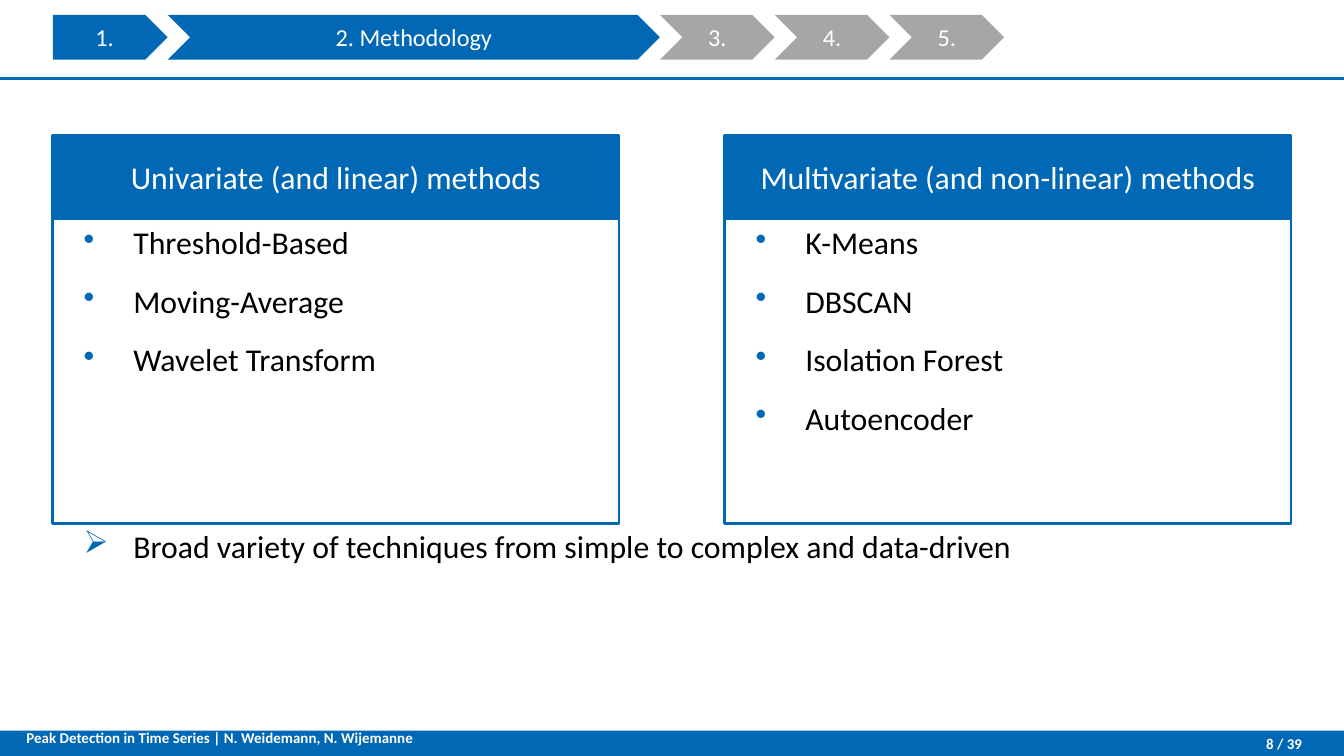
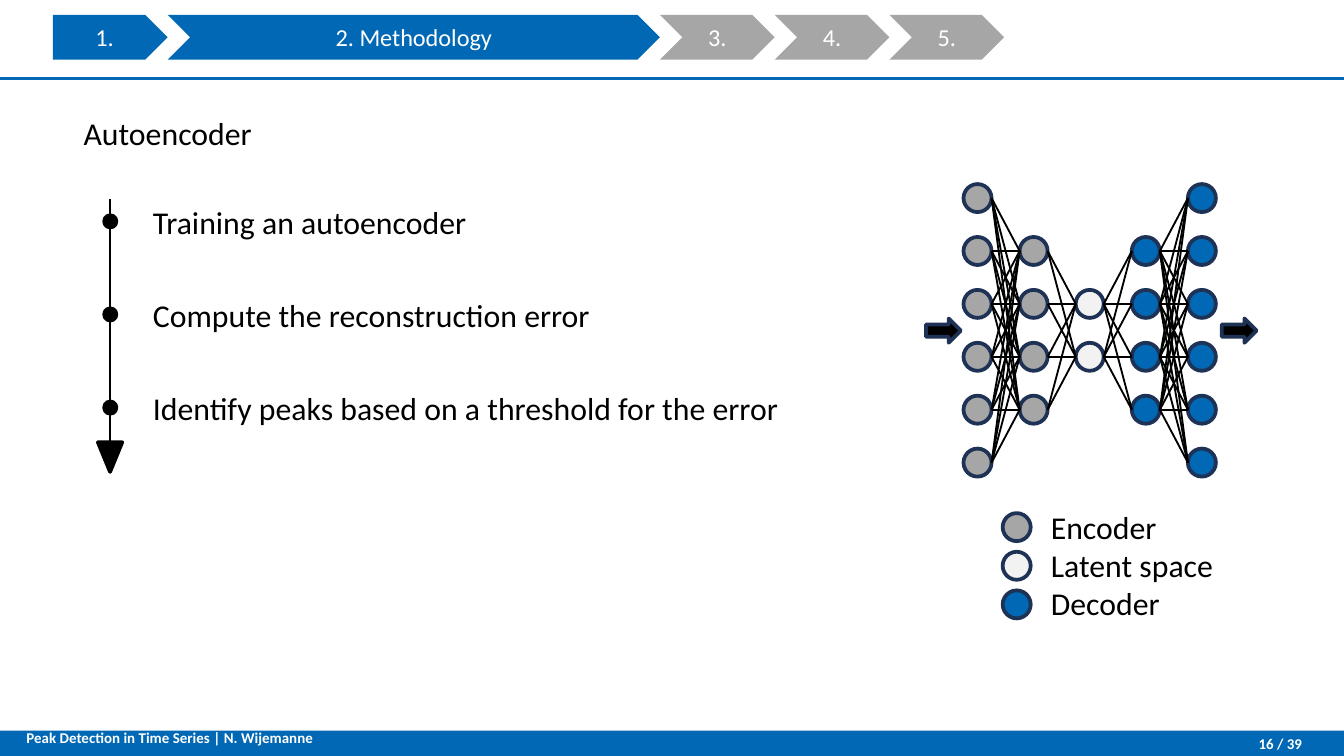
from itertools import product

from lxml import etree
from pptx import Presentation
from pptx import util as u
from pptx.dml.color import RGBColor
from pptx.enum import shapes as kinds, text as t
from pptx.oxml.ns import qn

BLUE = RGBColor(0x00, 0x68, 0xB4)
NAVY = RGBColor(0x1E, 0x32, 0x56)
GREY = RGBColor(0xA6, 0xA6, 0xA6)
PALE = RGBColor(0xF2, 0xF2, 0xF2)
WHITE = RGBColor(0xFF, 0xFF, 0xFF)
BLACK = RGBColor(0x00, 0x00, 0x00)
FONT = "Calibri"
SHAPE = kinds.MSO_SHAPE
CENTER, RIGHT = t.PP_ALIGN.CENTER, t.PP_ALIGN.RIGHT
TOP, MIDDLE = t.MSO_ANCHOR.TOP, t.MSO_ANCHOR.MIDDLE


def add_box(shapes, kind, place, fill=None, line=None, line_width=1.5, lines=(), size=17,
            color=BLACK, bold=False, align=None, anchor=TOP, bullet=None):
    """Add a preset shape, or a text box if kind is None, at place (left, top, width, height in cm).

    A bullet of "" indents the paragraphs without a mark.
    """
    place = [u.Cm(length) for length in place]
    if kind is None:
        shape = shapes.add_textbox(*place)
    else:
        shape = shapes.add_shape(kind, *place)
        shape.shadow.inherit = False
        if fill is None:
            shape.fill.background()
        else:
            shape.fill.solid()
            shape.fill.fore_color.rgb = fill
        if line is None:
            shape.line.fill.background()
        else:
            shape.line.color.rgb = line
            shape.line.width = u.Pt(line_width)
    frame = shape.text_frame
    frame.word_wrap = True
    frame.vertical_anchor = anchor
    for number, wording in enumerate(lines):
        paragraph = frame.add_paragraph() if number else frame.paragraphs[0]
        paragraph.text = wording
        paragraph.alignment = align or t.PP_ALIGN.LEFT
        if bullet is not None:
            properties = paragraph._p.get_or_add_pPr()
            properties.set("marL", str(u.Cm(1.27)))
            properties.set("indent", str(u.Cm(-0.94)))
            if bullet:
                bullet_color = etree.SubElement(properties, qn("a:buClr"))
                etree.SubElement(bullet_color, qn("a:srgbClr"), val=str(BLUE))
                etree.SubElement(properties, qn("a:buChar"), char=bullet)
            paragraph.line_spacing = 0.95
            if number:
                paragraph.space_before = u.Pt(12)
        font = paragraph.font
        font.name, font.size, font.bold = FONT, u.Pt(size), bold
        font.color.rgb = color
    return shape


def add_line(shapes, start, end, color=BLACK, width=1.5):
    ends = [u.Cm(length) for length in (*start, *end)]
    line = shapes.add_connector(kinds.MSO_CONNECTOR.STRAIGHT, *ends)
    line.line.color.rgb = color
    line.line.width = u.Pt(width)
    etree.SubElement(line._element.spPr, qn("a:effectLst"))


presentation = Presentation()
presentation.slide_width, presentation.slide_height = u.Cm(25.4), u.Cm(14.29)

# Frame of every slide: rule, section chevrons, footer
sections = [("1.", 2.17, BLUE), ("2. Methodology", 9.3, BLUE),
            ("3.", 2.17, GREY), ("4.", 2.17, GREY), ("5.", 2.17, GREY)]
footers = [("Peak Detection in Time Series | N. Weidemann, N. Wijemanne", "8 / 39"),
           ("Peak Detection in Time Series | N. Wijemanne", "16 / 39")]
for credit, page in footers:
    slide = presentation.slides.add_slide(presentation.slide_layouts[6])
    add_box(slide.shapes, SHAPE.RECTANGLE, (0, 13.81, 25.4, 0.48), BLUE)
    add_line(slide.shapes, (25.4, 1.49), (0, 1.49), BLUE)
    progress = slide.shapes.add_group_shape()
    left = 1
    for number, (label, width, color) in enumerate(sections):
        add_box(progress.shapes, SHAPE.CHEVRON if number else SHAPE.PENTAGON,
                (left, 0.28, width, 0.85), color, lines=[label], size=13, color=WHITE,
                align=CENTER, anchor=MIDDLE)
        left += width
    footer = add_box(slide.shapes, None, (0.25, 13.61, 11.02, 0.86), lines=[credit],
                     size=8, color=WHITE, bold=True)
    footer.text_frame.margin_top = footer.text_frame.margin_bottom = u.Cm(0.25)
    page_number = add_box(slide.shapes, None, (22.22, 13.82, 2.39, 0.48), lines=[page],
                          size=8, color=WHITE, bold=True, align=RIGHT, anchor=MIDDLE)
    page_number.text_frame.margin_right = 0

# Slide 1: two families of methods
shapes = presentation.slides[0].shapes
families = [
    (1, "Univariate (and linear) methods",
     ["Threshold-Based", "Moving-Average", "Wavelet Transform"]),
    (13.7, "Multivariate (and non-linear) methods",
     ["K-Means", "DBSCAN", "Isolation Forest", "Autoencoder"]),
]
for left, heading, methods in families:
    add_box(shapes, SHAPE.RECTANGLE, (left, 2.56, 10.7, 1.58), BLUE, BLUE, lines=[heading],
            color=WHITE, align=CENTER, anchor=MIDDLE)
    add_box(shapes, SHAPE.RECTANGLE, (left, 4.14, 10.7, 5.76), line=BLUE, lines=methods,
            bullet="•")
add_box(shapes, None, (1, 9.88, 23.4, 2.31), bullet="➢",
        lines=["Broad variety of techniques from simple to complex and data-driven"])

# Slide 2: autoencoder
shapes = presentation.slides[1].shapes
add_box(shapes, None, (1, 2.08, 23.4, 10.11), lines=["Autoencoder"], bullet="")

# Timeline of steps
timeline = shapes.add_group_shape()
add_line(timeline.shapes, (2.08, 3.76), (2.08, 8.36))
tip = add_box(timeline.shapes, SHAPE.ISOSCELES_TRIANGLE, (1.85, 8.36, 0.46, 0.56),
              BLACK, BLACK, 2)
tip.rotation = 180
steps = ["Training an autoencoder", "Compute the reconstruction error",
         "Identify peaks based on a threshold for the error"]
for number, step in enumerate(steps):
    offset = 1.76 * number
    add_box(timeline.shapes, SHAPE.OVAL, (1.97, 4.07 + offset, 0.23, 0.23), BLACK, BLACK, 2)
    add_box(shapes, None, (2.64, 3.71 + offset, 21.77, 0.99), lines=[step])

# Network: layers centred on one axis, each fully connected to the next
NODE = 0.53
layers = []
for column, (count, color) in enumerate([(6, GREY), (4, GREY), (2, PALE), (4, BLUE), (6, BLUE)]):
    left = 18.21 + 1.06 * column
    layer = [(left, 3.48 + (6 - count) / 2 + row) for row in range(count)]
    for node in layer:
        add_box(shapes, SHAPE.OVAL, (*node, NODE, NODE), color, NAVY, 2)
    layers.append(layer)
for layer, next_layer in zip(layers, layers[1:]):
    for (left, top), (next_left, next_top) in product(layer, next_layer):
        add_line(shapes, (left + NODE, top + NODE / 2), (next_left, next_top + NODE / 2), width=1)
for left in (17.5, 23.09):
    add_box(shapes, SHAPE.RIGHT_ARROW, (left, 6.02, 0.66, 0.46), BLACK, NAVY, 2)

# Legend
legend = {"Encoder": GREY, "Latent space": PALE, "Decoder": BLUE}
for row, color in enumerate(legend.values()):
    add_box(shapes, SHAPE.OVAL, (18.95, 9.7 + 0.73 * row, NODE, NODE), color, NAVY, 2)
add_box(shapes, None, (19.61, 9.47, 5.28, 2.44), lines=legend)

presentation.save("out.pptx")
